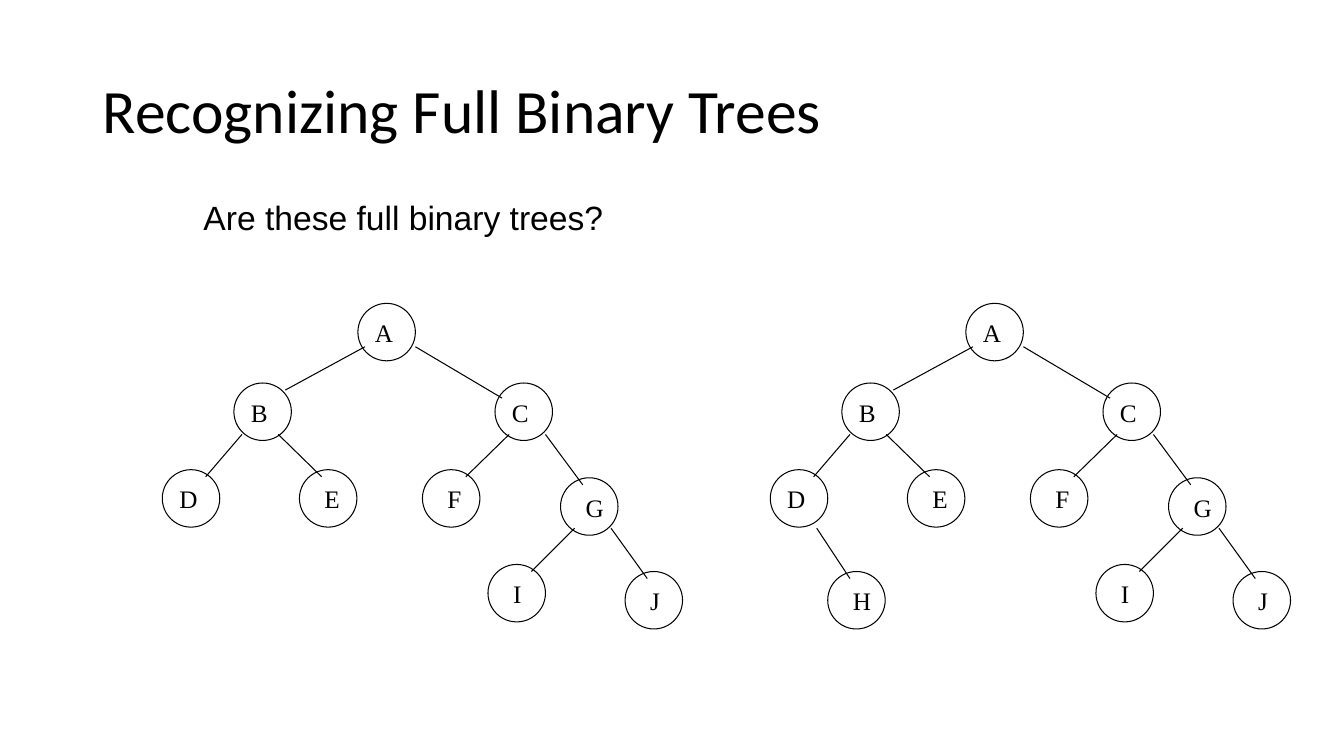
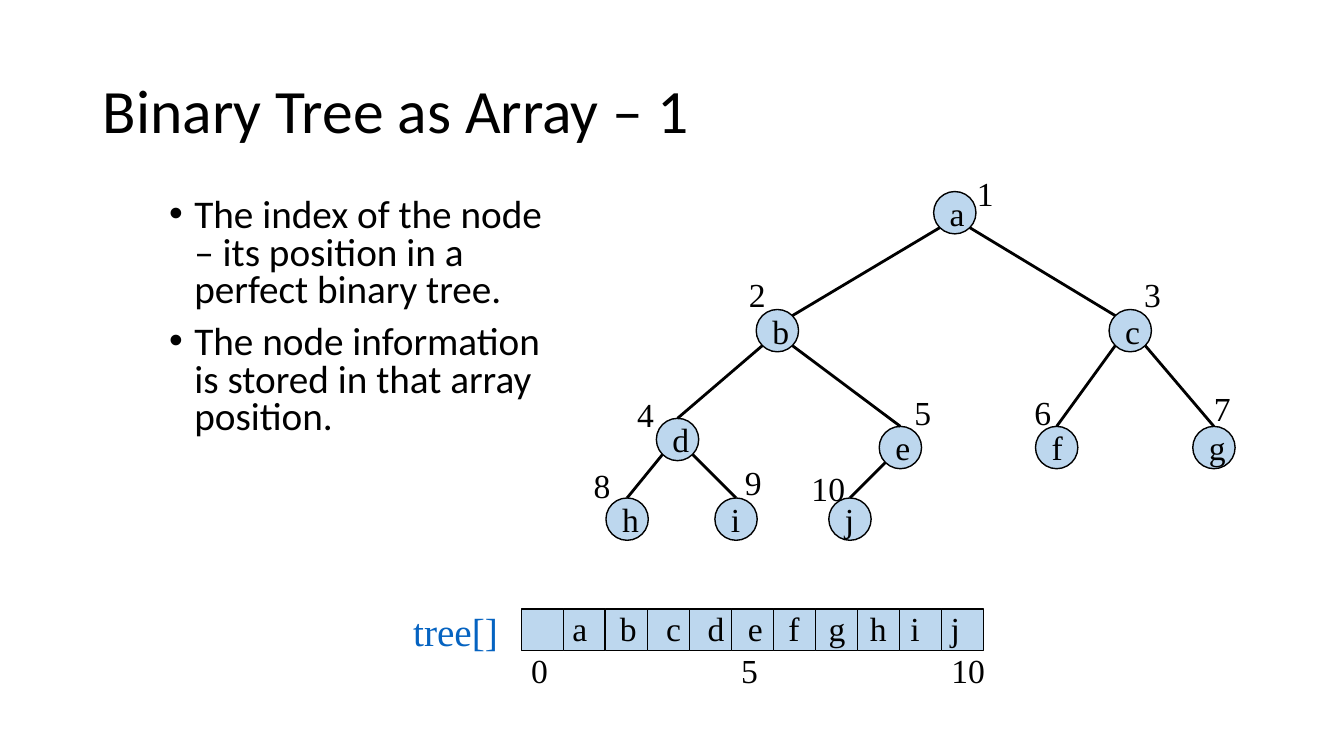
from dataclasses import dataclass

from lxml import etree
from pptx import Presentation
from pptx.dml.color import RGBColor
from pptx.enum.shapes import MSO_CONNECTOR as CXN, MSO_SHAPE as SHAPE
from pptx.enum.text import MSO_ANCHOR as ANCHOR, PP_ALIGN as ALIGN
from pptx.oxml.ns import qn
from pptx.util import Inches, Pt


@dataclass(frozen=True)
class Theme:
    ink: str = "000000"
    fill: str = "BDD7EE"
    accent: str = "0563C1"
    head_font: str = "Calibri"
    body_font: str = "Arial"
    label_font: str = "Times New Roman"
    title: int = 44
    body: int = 28
    label: int = 24
    small: int = 18
    thin: float = 0.75
    outline: float = 1
    thick: float = 2


T = Theme()
WIDTH, HEIGHT = 13.33, 7.5
NUDGE = 0.02

FULL_TITLE = "Recognizing Full Binary Trees"
QUESTION = "Are these full binary trees?"
FULL_SIZE = 0.57
FULL_NODES = {
    "A": (3.55, 3.01), "B": (2.32, 3.8), "C": (4.91, 3.8),
    "D": (1.61, 4.66), "E": (2.97, 4.66), "F": (4.19, 4.66),
    "G": (5.56, 4.74), "I": (4.84, 5.6), "J": (6.2, 5.67),
}
FULL_EDGES = ["AB", "AC", "BD", "BE", "CF", "CG", "GI", "GJ"]
EXTRA_NODE = {"H": (2.18, 5.67)}
EXTRA_EDGE = ["DH"]
LEFT_CHILDREN = "BDFI"
EXITS = {"A": (0.07, 0.57, 0.43), "B": (0.08, 0.44, 0.51), "C": (0.14, 0.5, 0.51),
         "D": (0.1, 0.46, 0.58), "G": (0.14, 0.5, 0.5)}
ENTRIES = {"B": (0.51, 0.07), "C": (0.07, 0.15)}
TREES = [
    (0, FULL_NODES, FULL_EDGES),
    (6.03, FULL_NODES | EXTRA_NODE, FULL_EDGES + EXTRA_EDGE),
]

ARRAY_TITLE = "Binary Tree as Array – 1"
BULLETS = [
    "The index of the node – its position in a perfect binary tree.",
    "The node information is stored in that array position.",
]
NODE = 0.42
ARRAY_NODES = {
    "a": (9.26, 1.9), "b": (7.5, 3.07), "c": (11, 3.07), "d": (6.51, 4.15),
    "e": (8.72, 4.23), "f": (10.27, 4.23), "g": (11.83, 4.23),
    "h": (6.01, 4.94), "i": (7.09, 4.94), "j": (8.22, 4.94),
}
INDEX_PLACES = [
    (9.59, 1.65), (7.33, 2.65), (11.25, 2.65), (6.22, 3.84), (8.97, 3.82),
    (10.16, 3.82), (11.94, 3.78), (5.79, 4.54), (7.29, 4.51), (7.95, 4.57),
]
LETTER_LEFTS = [5.58, 6.05, 6.51, 6.92, 7.32, 7.72, 8.12, 8.53, 8.93, 9.33]
ARRAY_LEFT, ARRAY_TOP, CELL_STEP = 5.17, 6.04, 0.4167
MARKED_CELLS = [0, 5, 10]


def rgb(value):
    return RGBColor.from_string(value)


def write(tf, lines, *, size, font, color=T.ink, spacing=None, gap=0, bullet=None):
    for i, line in enumerate(lines):
        p = tf.paragraphs[0] if i == 0 else tf.add_paragraph()
        p.alignment = ALIGN.LEFT
        if spacing:
            p.line_spacing = spacing
        if i:
            p.space_before = Pt(gap)
        if bullet:
            pPr = p._p.get_or_add_pPr()
            pPr.set("marL", str(Inches(0.25)))
            pPr.set("indent", str(-Inches(0.25)))
            etree.SubElement(pPr, qn("a:buFont")).set("typeface", T.body_font)
            etree.SubElement(pPr, qn("a:buChar")).set("char", bullet)
        r = p.add_run()
        r.text = line
        r.font.size, r.font.name = Pt(size), font
        r.font.color.rgb = rgb(color)


def text(s, content, left, top, width, height, *, anchor=ANCHOR.TOP, **style):
    tf = s.shapes.add_textbox(*map(Inches, (left, top, width, height))).text_frame
    tf.word_wrap = True
    tf.vertical_anchor = anchor
    write(tf, [content] if isinstance(content, str) else content, **style)


def label(s, content, left, top, width=0.5, height=0.5, size=T.label, color=T.ink):
    text(s, content, left, top + NUDGE, width, height,
         size=size, font=T.label_font, color=color)


def shape(s, kind, left, top, size, *, fill=None, weight=T.outline, caption=None):
    sp = s.shapes.add_shape(kind, *map(Inches, (left, top, size, size)))
    sp.shadow.inherit = False
    if fill:
        sp.fill.solid()
        sp.fill.fore_color.rgb = rgb(fill)
    else:
        sp.fill.background()
    sp.line.color.rgb = rgb(T.ink)
    sp.line.width = Pt(weight)
    if caption:
        tf = sp.text_frame
        tf.word_wrap = False
        tf.vertical_anchor = ANCHOR.MIDDLE
        write(tf, [caption], size=T.label, font=T.label_font)


def line(s, start, end, weight):
    c = s.shapes.add_connector(CXN.STRAIGHT, *map(Inches, (*start, *end)))
    c.line.color.rgb = rgb(T.ink)
    c.line.width = Pt(weight)
    etree.SubElement(c._element.spPr, qn("a:effectLst"))


def new_slide(prs, title):
    s = prs.slides.add_slide(prs.slide_layouts[6])
    text(s, title, 0.92, 0.4, 11.5, 1.45, anchor=ANCHOR.MIDDLE,
         size=T.title, font=T.head_font, spacing=0.9)
    return s


def full_tree(s, shift, nodes, edges):
    places = {name: (x + shift, y) for name, (x, y) in nodes.items()}
    for name, (x, y) in places.items():
        shape(s, SHAPE.OVAL, x, y, FULL_SIZE, weight=T.thin)
        label(s, name, x + (0.07 if name in "ABCD" else 0.15), y + 0.07,
              height=0.35, size=T.small)
    for parent, child in edges:
        is_left = child in LEFT_CHILDREN
        left_exit, right_exit, drop = EXITS[parent]
        dx, dy = ENTRIES.get(child, (0.43 if is_left else 0.22, 0.07))
        (px, py), (cx, cy) = places[parent], places[child]
        line(s, (px + (left_exit if is_left else right_exit), py + drop),
             (cx + dx, cy + dy), T.thin)


def array_tree(s):
    names = list(ARRAY_NODES)
    radius = NODE / 2
    diagonal = radius * 0.5 ** 0.5
    centers = [(x + radius, y + radius) for x, y in ARRAY_NODES.values()]
    for name, (x, y) in ARRAY_NODES.items():
        shape(s, SHAPE.OVAL, x, y, NODE, fill=T.fill, caption=name)
    for i, place in enumerate(INDEX_PLACES, 1):
        label(s, str(i), *place, width=0.67)
    for child in range(1, len(names)):
        parent = (child - 1) // 2
        (px, py), (cx, cy) = centers[parent], centers[child]
        side = diagonal if child % 2 == 0 else -diagonal
        end = (cx - side, cy - diagonal) if parent == 0 else (cx, cy - radius)
        line(s, (px + side, py + diagonal), end, T.thick)


def array_row(s):
    lefts = [ARRAY_LEFT + i * CELL_STEP for i in range(len(ARRAY_NODES) + 1)]
    for left in lefts:
        shape(s, SHAPE.RECTANGLE, left, ARRAY_TOP, CELL_STEP, fill=T.fill)
    label(s, "tree[]", 4, 5.96, 1.25, 0.57, size=T.body, color=T.accent)
    for i in MARKED_CELLS:
        label(s, str(i), lefts[i], 6.38, width=0.67)
    for name, left in zip(ARRAY_NODES, LETTER_LEFTS):
        label(s, name, left, 5.96)


def main():
    prs = Presentation()
    prs.slide_width, prs.slide_height = Inches(WIDTH), Inches(HEIGHT)

    s = new_slide(prs, FULL_TITLE)
    text(s, QUESTION, 1.92, 1.9, 4.5, 0.5, size=T.label, font=T.body_font)
    for tree in TREES:
        full_tree(s, *tree)

    s = new_slide(prs, ARRAY_TITLE)
    text(s, BULLETS, 1.58, 1.92, 4, 2.58, size=T.body, font=T.head_font,
         spacing=0.8, gap=10, bullet="•")
    array_row(s)
    array_tree(s)

    prs.save("out.pptx")


if __name__ == "__main__":
    main()
